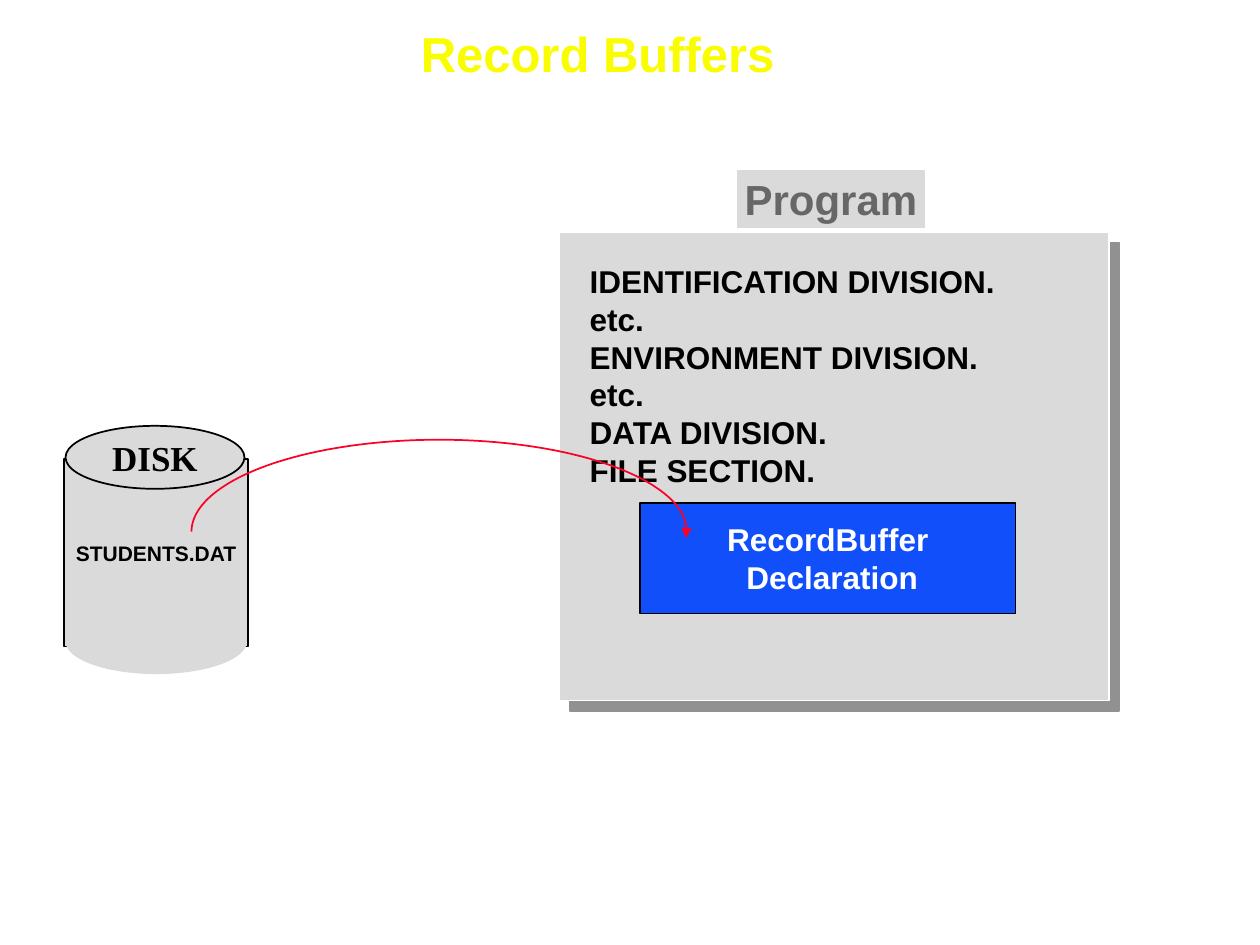
import pptx
import pptx.util
import pptx.dml.color
import pptx.enum.shapes
import pptx.enum.text
import pptx.oxml
import pptx.oxml.ns

Inches = pptx.util.Inches
Pt = pptx.util.Pt
SHAPE = pptx.enum.shapes.MSO_SHAPE
ALIGN = pptx.enum.text.PP_ALIGN
ANCHOR = pptx.enum.text.MSO_ANCHOR
AUTO = pptx.enum.text.MSO_AUTO_SIZE

COLORS = {
    "title": "FAFD00",
    "panel": "DADADA",
    "shadow": "919191",
    "heading": "676767",
    "buffer": "114FFB",
    "arrow": "FC0128",
    "black": "000000",
    "white": "FFFFFF",
}
CODE = [
    "IDENTIFICATION DIVISION.",
    "etc.",
    "ENVIRONMENT DIVISION.",
    "etc.",
    "DATA DIVISION.",
    "FILE SECTION.",
]
WIDE = (0.1, 0.05)
NARROW = (0.06, 0.03)


def rgb(name):
    return pptx.dml.color.RGBColor.from_string(COLORS[name])


def set_text(sp, lines, size, color, font="Arial", align=ALIGN.CENTER,
             anchor=ANCHOR.MIDDLE, margins=WIDE, auto=AUTO.NONE, spacing=None):
    tf = sp.text_frame
    side, edge = (Inches(m) for m in margins)
    frame_format = {
        "word_wrap": False, "auto_size": auto, "vertical_anchor": anchor,
        "margin_left": side, "margin_right": side,
        "margin_top": edge, "margin_bottom": edge,
    }
    for name, value in frame_format.items():
        setattr(tf, name, value)
    for i, line in enumerate(lines):
        p = tf.paragraphs[0] if i == 0 else tf.add_paragraph()
        p.alignment = align
        p.line_spacing = spacing
        r = p.add_run()
        r.text = line
        for name, value in {"name": font, "size": Pt(size), "bold": True}.items():
            setattr(r.font, name, value)
        r.font.color.rgb = rgb(color)


def add_shape(s, kind, box, fill=None, line=None):
    sp = s.shapes.add_shape(kind, *(Inches(v) for v in box))
    sp.shadow.inherit = False
    if fill:
        sp.fill.solid()
        sp.fill.fore_color.rgb = rgb(fill)
    else:
        sp.fill.background()
    if line:
        sp.line.color.rgb = rgb(line)
        sp.line.width = Pt(1)
    else:
        sp.line.fill.background()
    return sp


def add_label(s, box, lines, size, color):
    """Add a left-aligned text box that fits its text."""
    sp = s.shapes.add_textbox(*(Inches(v) for v in box))
    set_text(sp, lines, size, color, align=ALIGN.LEFT, anchor=ANCHOR.TOP,
             margins=NARROW, auto=AUTO.SHAPE_TO_FIT_TEXT)
    return sp


def add_shadow(sp):
    effects = sp._element.spPr.find(pptx.oxml.ns.qn("a:effectLst"))
    effects.append(pptx.oxml.parse_xml(
        f'<a:outerShdw {pptx.oxml.ns.nsdecls("a")} dist="{Pt(8.5)}" '
        'dir="2700000" algn="ctr" rotWithShape="0">'
        f'<a:srgbClr val="{COLORS["shadow"]}"/></a:outerShdw>'))


def add_title(s, text):
    sp = s.shapes.title
    sp.left, sp.top, sp.width, sp.height = (
        Inches(v) for v in (3.24, 0.19, 3.01, 0.52))
    set_text(sp, [text], 28, "title", align=ALIGN.LEFT,
             anchor=ANCHOR.BOTTOM, spacing=0.9)


def add_program(s):
    panel = add_shape(s, SHAPE.RECTANGLE, (4.44, 1.84, 4.36, 3.72), "panel", "white")
    add_shadow(panel)
    add_label(s, (4.62, 2.05, 3.36, 2.46), CODE, 18, "black")
    heading = add_label(s, (5.85, 1.35, 1.49, 0.46), ["Program"], 24, "heading")
    heading.fill.solid()
    heading.fill.fore_color.rgb = rgb("panel")
    record = add_shape(s, SHAPE.RECTANGLE, (5.08, 3.99, 2.98, 0.88), "buffer", "black")
    set_text(record, ["RecordBuffer", " Declaration"], 18, "white")


def add_disk(s):
    body = add_shape(s, SHAPE.RECTANGLE, (0.51, 3.64, 1.46, 1.49), "panel", "black")
    set_text(body, ["STUDENTS.DAT"], 12, "black", spacing=1.03)
    add_shape(s, SHAPE.OVAL, (0.52, 4.83, 1.44, 0.52), "panel")
    lid = add_shape(s, SHAPE.OVAL, (0.52, 3.38, 1.42, 0.5), "panel", "black")
    set_text(lid, ["DISK"], 20, "black", font="Times New Roman", spacing=1.03)


def add_arc_arrow(s):
    """Add the arc from the disk to the buffer; angles are 0.6 per degree."""
    arc = add_shape(s, SHAPE.ARC, (1.52, 3.49, 3.93, 1.46), line="arrow")
    for i, degrees in enumerate((180, 1.5)):
        arc.adjustments[i] = degrees * 0.6
    arc.line._get_or_add_ln().append(pptx.oxml.parse_xml(
        f'<a:tailEnd {pptx.oxml.ns.nsdecls("a")} type="triangle"/>'))


def main():
    prs = pptx.Presentation()
    prs.slide_width, prs.slide_height = Inches(10), Inches(7.5)
    s = prs.slides.add_slide(prs.slide_layouts[5])
    add_title(s, "Record Buffers")
    add_program(s)
    add_disk(s)
    add_arc_arrow(s)
    prs.save("out.pptx")


if __name__ == "__main__":
    main()
